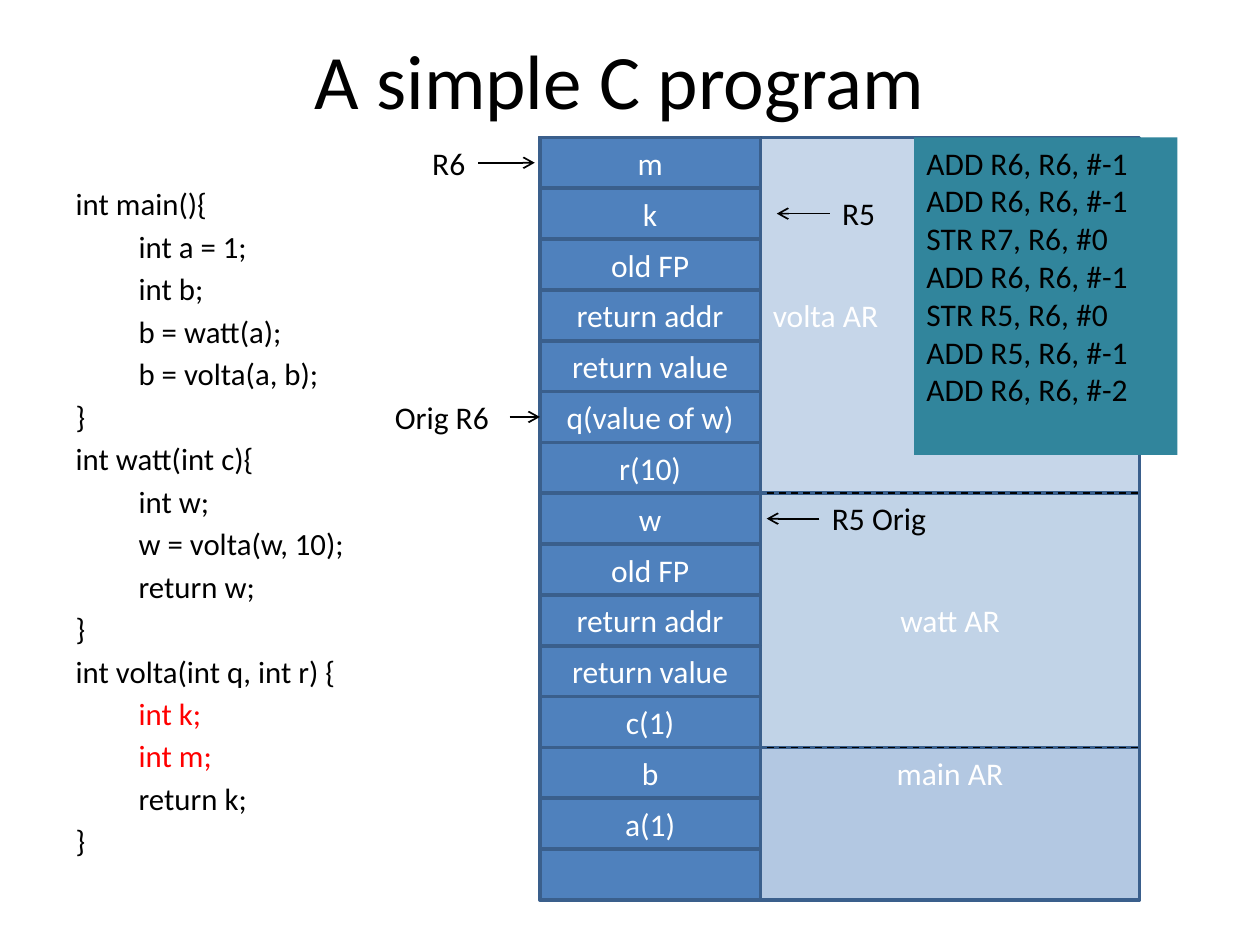
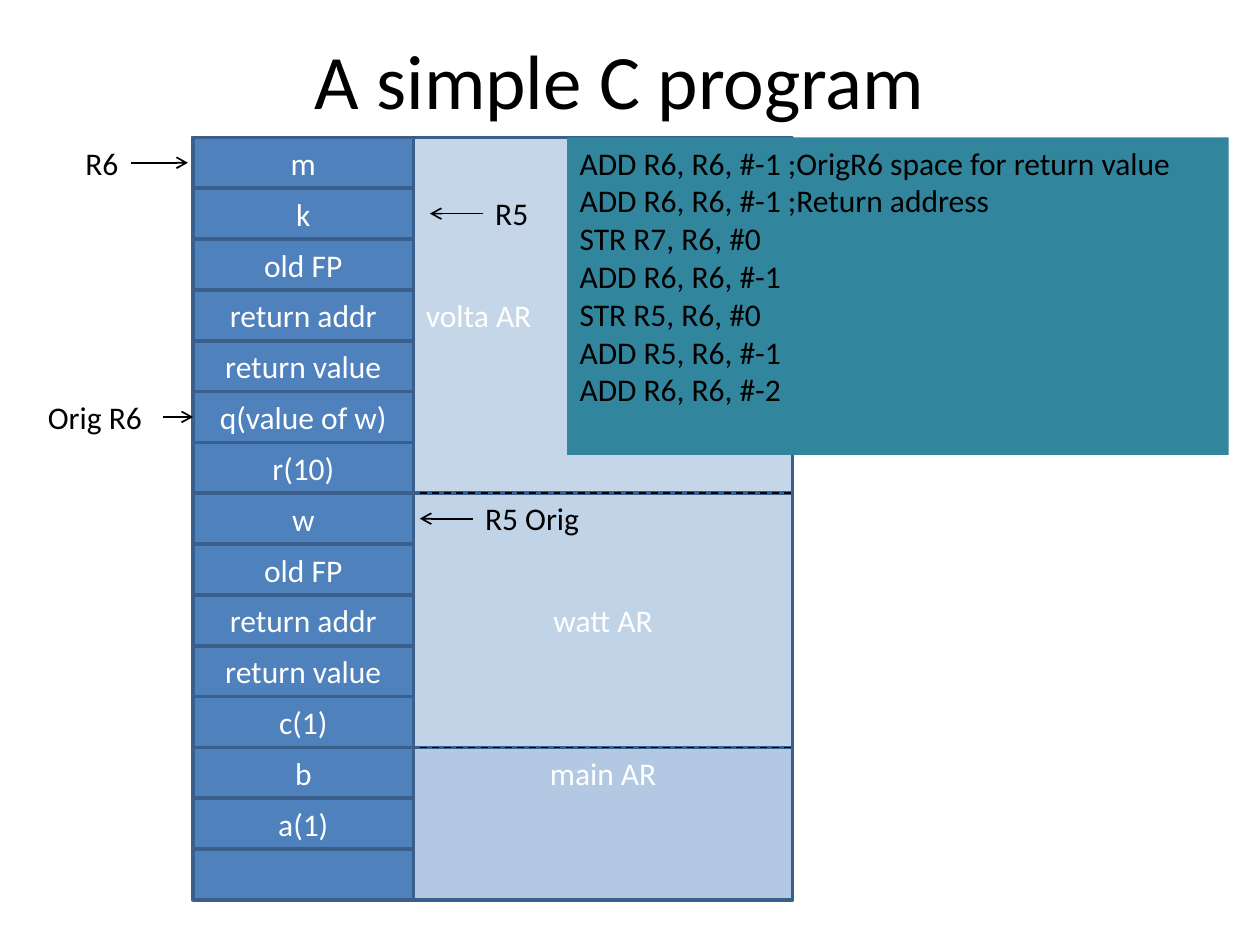
import pptx
import pptx.util
import pptx.dml.color
import pptx.enum.dml
import pptx.enum.shapes
import pptx.enum.text
from lxml import etree
from pptx.oxml.ns import qn

Pt = pptx.util.Pt
RGB = pptx.dml.color.RGBColor.from_string
ALIGN = pptx.enum.text.PP_ALIGN
ANCHOR = pptx.enum.text.MSO_ANCHOR

COLORS = {"stack": "4F81BD", "edge": "3A5F8C", "code": "31859C",
          "ink": "000000", "light": "FFFFFF", "locals": "FF0000"}
FONT = "Calibri"

STACK_TOP, ROW, CELL_WIDTH, RECORD_WIDTH = 78.5, 29.05, 126, 216.7
CELLS = ["m", "k", "old FP", "return addr", "return value", "q(value of w)", "r(10)",
         "w", "old FP", "return addr", "return value", "c(1)", "b", "a(1)", ""]
# name, first row, row count, opacity in percent, alignment, anchor
RECORDS = [("volta AR", 0, 7, 32, ALIGN.LEFT, ANCHOR.MIDDLE),
           ("watt AR", 7, 5, 35, ALIGN.CENTER, ANCHOR.MIDDLE),
           ("main AR", 12, 3, 43, ALIGN.CENTER, ANCHOR.TOP)]
# name, row, then offsets from the stack: label left, label width, arrow from, arrow to
POINTERS = [("R6", 0, -68.6, 34, -35.3, -2.9),
            ("R5", 1, 165.6, 34, 165.6, 135.4),
            ("Orig R6", 5, -90, 73, -17.3, 0),
            ("R5 Orig", 7, 159.8, 69, 159.8, 129.6)]
PROGRAM = """int main(){
\tint a = 1;
\tint b;
\tb = watt(a);
\tb = volta(a, b);
}
int watt(int c){
\tint w;
\tw = volta(w, 10);
\treturn w;
}
int volta(int q, int r) {
\tint k;
\tint m;
\treturn k;
}"""
CALL = ["ADD R6, R6, #-1", "ADD R6, R6, #-1", "STR R7, R6, #0", "ADD R6, R6, #-1",
        "STR R5, R6, #0", "ADD R5, R6, #-1", "ADD R6, R6, #-2"]
COMMENTED_CALL = [CALL[0] + " ;OrigR6 space for return value",
                  CALL[1] + " ;Return address"] + CALL[2:]


def add_box(slide, text, left, top, width, height, fill=None, edge=None, ink="light",
            align=ALIGN.CENTER, anchor=ANCHOR.MIDDLE):
    box = slide.shapes.add_shape(pptx.enum.shapes.MSO_SHAPE.RECTANGLE,
                                 Pt(left), Pt(top), Pt(width), Pt(height))
    box.shadow.inherit = False
    if fill:
        box.fill.solid()
        box.fill.fore_color.rgb = RGB(COLORS[fill])
    else:
        box.fill.background()
    if edge:
        box.line.color.rgb = RGB(COLORS[edge])
        box.line.width = Pt(2)
    else:
        box.line.fill.background()
    box.text_frame.text = text
    box.text_frame.vertical_anchor = anchor
    for paragraph in box.text_frame.paragraphs:
        paragraph.alignment = align
        for run in paragraph.runs:
            run.font.name, run.font.size = FONT, Pt(18)
            run.font.color.rgb = RGB(COLORS[ink])
    return box


def add_line(slide, start, end, y, arrow):
    """Draw a level line: with an arrowhead at its end, or else dashed."""
    line = slide.shapes.add_connector(pptx.enum.shapes.MSO_CONNECTOR.STRAIGHT,
                                      Pt(start), Pt(y), Pt(end), Pt(y))
    line.line.color.rgb = RGB(COLORS["ink"])
    line.line.width = Pt(1)
    if arrow:
        etree.SubElement(line.line._get_or_add_ln(), qn("a:tailEnd"), type="arrow")
    else:
        line.line.dash_style = pptx.enum.dml.MSO_LINE.DASH
    etree.SubElement(line._element.spPr, qn("a:effectLst"))


deck = pptx.Presentation()
deck.slide_width, deck.slide_height = Pt(720), Pt(540)

# layout, stack left, code lines, code width
for layout, stack_left, call, call_width in [(1, 308.5, CALL, 150.5),
                                             (5, 110.3, COMMENTED_CALL, 378)]:
    slide = deck.slides.add_slide(deck.slide_layouts[layout])
    title = slide.shapes.title
    title.left, title.top, title.width, title.height = Pt(30.2), Pt(0), Pt(648), Pt(90)
    title.text_frame.text = "A simple C program"
    heading = title.text_frame.paragraphs[0].runs[0].font
    heading.name, heading.size = FONT, Pt(44)
    heading.color.rgb = RGB(COLORS["ink"])

    record_left = stack_left + CELL_WIDTH
    for name, first, count, opacity, align, anchor in RECORDS:
        record = add_box(slide, name, record_left, STACK_TOP + first * ROW, RECORD_WIDTH,
                         count * ROW, "stack", "edge", align=align, anchor=anchor)
        tint = record._element.spPr.find(qn("a:solidFill"))[0]
        etree.SubElement(tint, qn("a:alpha"), val=str(opacity * 1000))
    for name, first, *_ in RECORDS[1:]:
        add_line(slide, record_left + 3.6, record_left + RECORD_WIDTH,
                 STACK_TOP + first * ROW, arrow=False)

    add_box(slide, "", stack_left, STACK_TOP, CELL_WIDTH, 14 * ROW, edge="ink")
    for row, cell in enumerate(CELLS):
        add_box(slide, cell, stack_left, STACK_TOP + row * ROW, CELL_WIDTH, ROW,
                "stack", "edge")

    for name, row, label_left, label_width, start, end in POINTERS:
        top = STACK_TOP + row * ROW
        add_line(slide, stack_left + start, stack_left + end, top + ROW / 2, arrow=True)
        label = slide.shapes.add_textbox(Pt(stack_left + label_left), Pt(top),
                                         Pt(label_width), Pt(ROW))
        label.text_frame.text = name
        pointer = label.text_frame.paragraphs[0].runs[0].font
        pointer.name, pointer.size = FONT, Pt(18)
        pointer.color.rgb = RGB(COLORS["ink"])

    add_box(slide, "\n".join(call), stack_left + 213.8, STACK_TOP, call_width, 181.5,
            "code", ink="ink", align=ALIGN.LEFT, anchor=ANCHOR.TOP)

program = deck.slides[0].placeholders[1]
program.left, program.top, program.width, program.height = Pt(36), Pt(102.2), Pt(214), Pt(356.5)
program.text_frame.text = PROGRAM
program.text_frame.auto_size = pptx.enum.text.MSO_AUTO_SIZE.NONE
for number, statement in enumerate(program.text_frame.paragraphs):
    statement.space_before = Pt(3.15 if number else 0)
    properties = statement._p.get_or_add_pPr()
    properties.set("marL", "0")
    properties.set("indent", "0")
    etree.SubElement(properties, qn("a:buNone"))
    tabs = etree.SubElement(properties, qn("a:tabLst"))
    etree.SubElement(tabs, qn("a:tab"), pos=str(Pt(72)), algn="l")
    ink = "locals" if statement.text.strip() in ("int k;", "int m;") else "ink"
    for run in statement.runs:
        run.font.name, run.font.size = FONT, Pt(17.6)
        run.font.color.rgb = RGB(COLORS[ink])

deck.save("out.pptx")
